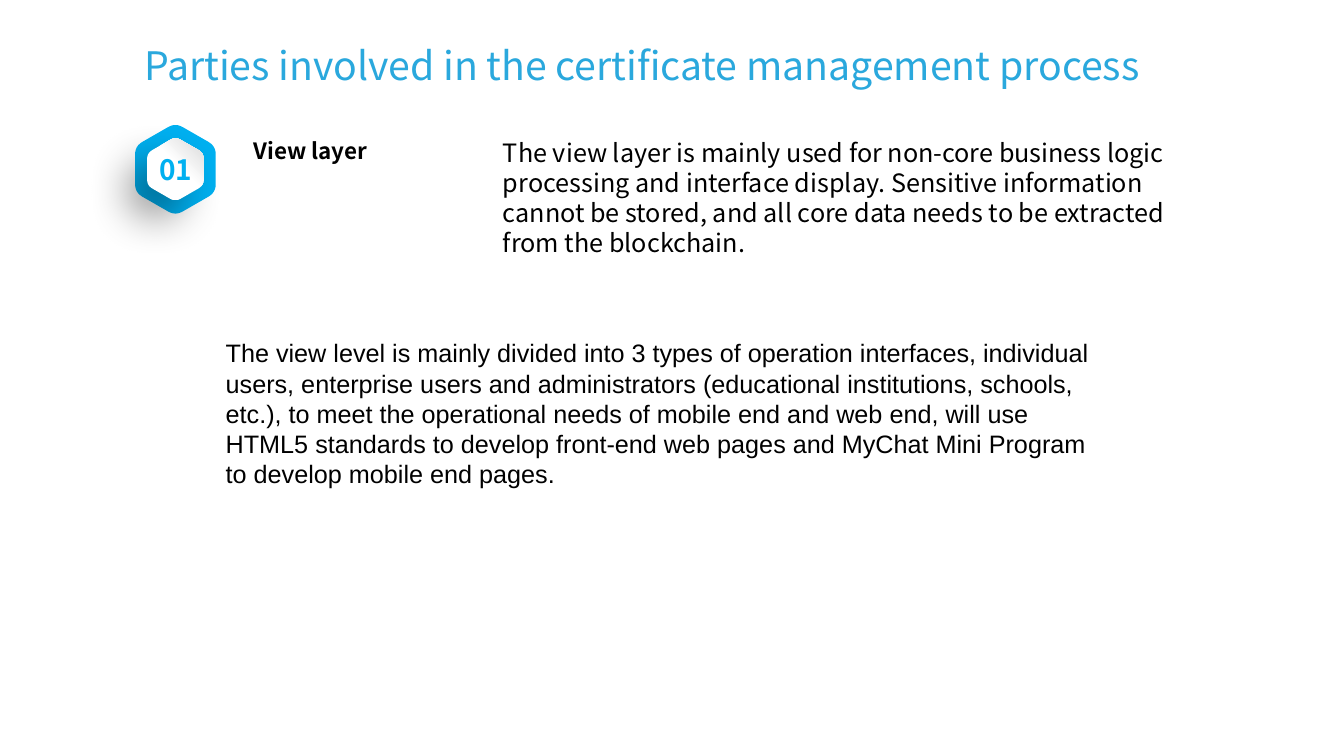
import pptx
import pptx.util
import pptx.dml.color
import pptx.enum.text
import pptx.oxml
import pptx.oxml.ns
from pptx.util import Inches

COLORS = {"title": "2AA8DD", "blue": "00B0F0", "text": "000000",
          "white": "FFFFFF", "gray": "D9D9D9"}
NOTO = "Noto Sans CJK SC"
ALIGN = pptx.enum.text.PP_ALIGN
ANCHOR = pptx.enum.text.MSO_ANCHOR


def rgb(name):
    return pptx.dml.color.RGBColor.from_string(COLORS[name])


def write(sp, text, at, size, font=NOTO, color="text", bold=False,
          align=ALIGN.LEFT, anchor=ANCHOR.TOP):
    sp.left, sp.top, sp.width, sp.height = [Inches(v) for v in at]
    tf = sp.text_frame
    tf.word_wrap = True
    tf.auto_size = pptx.enum.text.MSO_AUTO_SIZE.NONE
    tf.vertical_anchor = anchor
    p = tf.paragraphs[0]
    p.alignment = align
    p.line_spacing = pptx.util.Pt(1.2 * size)
    r = p.add_run()
    r.text = text
    r.font.name = font
    r.font.size = pptx.util.Pt(size)
    r.font.bold = bold
    r.font.color.rgb = rgb(color)


prs = pptx.Presentation()
prs.slide_width, prs.slide_height = Inches(13.33), Inches(7.5)
s = prs.slides.add_slide(prs.slide_layouts[5])

write(s.shapes.title, "Parties involved in the certificate management process",
      (1.33, 0.36, 10.38, 0.57), 28, color="title")

badge = s.shapes.add_group_shape()
cx, cy = 1.74, 1.68
corners = [(0, -0.46), (0.4, -0.23), (0.4, 0.23),
           (0, 0.46), (-0.4, 0.23), (-0.4, -0.23)]
cut, steps = 0.18, 6
hexagons = []
for scale in (1, 0.7):
    points = []
    for i, (x, y) in enumerate(corners):
        (px, py), (nx, ny) = corners[i - 1], corners[(i + 1) % 6]
        for k in range(steps + 1):
            t = k / steps
            before, after = cut * (1 - t) ** 2, cut * t ** 2
            points.append((Inches(cx + scale * (x + before * (px - x) + after * (nx - x))),
                           Inches(cy + scale * (y + before * (py - y) + after * (ny - y)))))
    fb = badge.shapes.build_freeform(*points[0])
    fb.add_line_segments(points[1:], close=True)
    sp = fb.convert_to_shape()
    sp.line.fill.background()
    sp.shadow.inherit = False
    hexagons.append(sp)

outer, inner = hexagons
outer.fill.solid()
outer.fill.fore_color.rgb = rgb("blue")
inner.fill.gradient()
inner.fill.gradient_angle = 45
for stop, position, color in zip(inner.fill.gradient_stops, (0.55, 1), ("white", "gray")):
    stop.position = position
    stop.color.rgb = rgb(color)
effects = inner._element.spPr.find(pptx.oxml.ns.qn("a:effectLst"))
effects.append(pptx.oxml.parse_xml(
    f'<a:outerShdw {pptx.oxml.ns.nsdecls("a")} blurRad="381000" dist="254000" '
    'dir="8100000" algn="tr" rotWithShape="0">'
    '<a:srgbClr val="000000"><a:alpha val="40000"/></a:srgbClr></a:outerShdw>'))

write(badge.shapes.add_textbox(0, 0, 0, 0), "01", (1.38, 1.5, 0.73, 0.35), 20,
      color="blue", bold=True, align=ALIGN.CENTER, anchor=ANCHOR.MIDDLE)

write(s.shapes.add_textbox(0, 0, 0, 0), "View layer",
      (2.42, 1.31, 1.83, 0.37), 16, bold=True)
write(s.shapes.add_textbox(0, 0, 0, 0),
      "The view layer is mainly used for non-core business logic processing and "
      "interface display. Sensitive information cannot be stored, and all core data "
      "needs to be extracted from the blockchain.",
      (4.89, 1.31, 6.82, 1.61), 18)
write(s.shapes.add_textbox(0, 0, 0, 0),
      "The view level is mainly divided into 3 types of operation interfaces, "
      "individual users, enterprise users and administrators (educational "
      "institutions, schools, etc.), to meet the operational needs of mobile end and "
      "web end, will use HTML5 standards to develop front-end web pages and MyChat "
      "Mini Program to develop mobile end pages.",
      (2.14, 3.3, 8.8, 1.61), 18, font="Arial")

prs.save("out.pptx")
